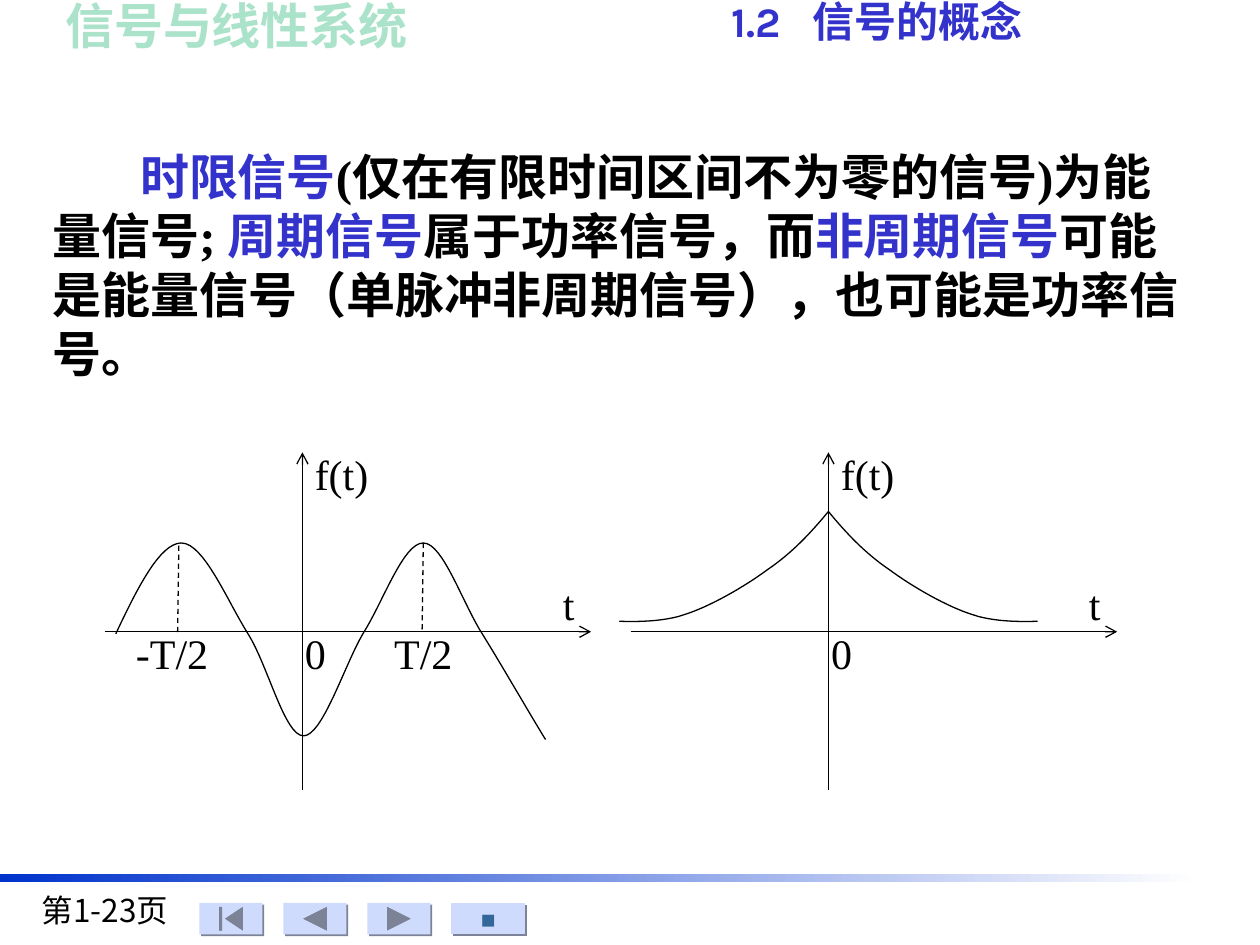
import pptx
import pptx.util
import pptx.dml.color
import pptx.enum.dml
import pptx.enum.shapes
import pptx.enum.text
import pptx.oxml
import pptx.oxml.ns

Pt = pptx.util.Pt
Kind = pptx.enum.shapes.MSO_SHAPE
Align = pptx.enum.text.PP_ALIGN
Anchor = pptx.enum.text.MSO_ANCHOR
NS = pptx.oxml.ns.nsdecls("a")
CJK = "Noto Sans CJK SC"
SERIF = "Times New Roman"
BLUE = "3333CC"
BLACK = "000000"
SHADE = (
    f'<a:effectLst {NS}><a:outerShdw dist="%d" dir="2700000">'
    '<a:srgbClr val="%s"/></a:outerShdw></a:effectLst>'
)


def paint(part, tone):
    """Give a fill or a line one solid colour."""
    fill = getattr(part, "fill", part)
    fill.solid()
    fill.fore_color.rgb = pptx.dml.color.RGBColor.from_string(tone)


def write(shape, text, size=24, font=SERIF, tone=BLACK, bold=False, east=CJK,
          align=None, wrap=True, gap=0):
    """Append a run to the shape's first paragraph and return it."""
    shape.text_frame.word_wrap = wrap
    para = shape.text_frame.paragraphs[0]
    para.alignment = align
    run = para.add_run()
    run.text = text
    run.font.size = Pt(size)
    run.font.bold = bold
    run.font.name = font
    paint(run.font, tone)
    props = run.font._element
    props.set("lang", "zh-CN")
    if gap:
        props.set("spc", str(gap * 100))
    latin = props.find(pptx.oxml.ns.qn("a:latin"))
    latin.addnext(pptx.oxml.parse_xml(f'<a:ea {NS} typeface="{east}"/>'))
    return run


deck = pptx.Presentation()
deck.slide_width, deck.slide_height = Pt(720), Pt(540)
slide = deck.slides.add_slide(deck.slide_layouts[5])
shapes = slide.shapes

# Footer bar, course name and page number
bar = shapes.add_shape(Kind.RECTANGLE, Pt(0), Pt(499.7), Pt(684.7), Pt(4.3))
bar.shadow.inherit = False
bar.line.fill.background()
bar.fill.gradient()
bar.fill.gradient_angle = 0
for stop, tone in zip(bar.fill.gradient_stops, ("0033CC", "FFFFFF")):
    stop.color.rgb = pptx.dml.color.RGBColor.from_string(tone)

course = shapes.add_textbox(Pt(30.2), Pt(-5.8), Pt(233.3), Pt(41))
run = write(course, "信号与线性系统", size=28, font="Noto Sans CJK JP",
            east="Noto Sans CJK JP", tone="AAE2CA", bold=True)
solid = run.font._element.find(pptx.oxml.ns.qn("a:solidFill"))
solid.addnext(pptx.oxml.parse_xml(SHADE % (25400, "808080")))

page = shapes.add_textbox(Pt(12.2), Pt(505.4), Pt(95.8), Pt(34))
write(page, "第1-23页", size=18, font=CJK, align=Align.CENTER)

# Navigation buttons
for kind, left, width, mark in (
    (Kind.ACTION_BUTTON_BEGINNING, 114, 36, ""),
    (Kind.ACTION_BUTTON_BACK_OR_PREVIOUS, 162, 36, ""),
    (Kind.ACTION_BUTTON_FORWARD_OR_NEXT, 210, 36, ""),
    (Kind.ACTION_BUTTON_CUSTOM, 258, 42, "■"),
):
    key = shapes.add_shape(kind, Pt(left), Pt(516), Pt(width), Pt(18))
    paint(key, "CFDBFD")
    key.line.fill.background()
    key._element.spPr.append(pptx.oxml.parse_xml(SHADE % (17780, "7C8398")))
    if mark:
        frame = key.text_frame
        frame.margin_top = frame.margin_bottom = 0
        frame.vertical_anchor = Anchor.MIDDLE
        write(key, mark, size=14, tone="336699", bold=True, east=SERIF,
              align=Align.CENTER, wrap=False)

# Title and statement
title = shapes.title
title.left, title.top, title.width, title.height = Pt(324), Pt(0), Pt(354), Pt(24)
title.text_frame.vertical_anchor = Anchor.MIDDLE
for text, gap in (("1.2", 0), (" ", 12), ("信号的概念", 0)):
    write(title, text, font="Karla", tone=BLUE, bold=True,
          align=Align.CENTER, gap=gap)

body = shapes.add_textbox(Pt(23), Pt(80), Pt(666), Pt(142))
for text, tone in (
    ("时限信号", BLUE),
    ("(仅在有限时间区间不为零的信号)为能量信号; ", BLACK),
    ("周期信号", BLUE),
    ("属于功率信号，而", BLACK),
    ("非周期信号", BLUE),
    ("可能是能量信号（单脉冲非周期信号），也可能是功率信号。", BLACK),
):
    write(body, text, size=28, tone=tone, bold=True)
para = body.text_frame.paragraphs[0]
para.line_spacing = Pt(33.7)
para._p.get_or_add_pPr().set("indent", str(Pt(50)))

# Plots: x is measured from each vertical axis; curves are Bézier knots
wave = [
    (-106.6, 362.2), (-94.3, 336.2), (-81.4, 310.3), (-69.1, 310.3),
    (-56.2, 310.3), (-42.5, 344.2), (-31, 362.2),
    (-19.4, 380.9), (-10.1, 420.5), (0.7, 420.5),
    (11.5, 420.5), (23.8, 380.9), (34.6, 362.2),
    (46.1, 344.2), (57.6, 310.3), (69.1, 310.3),
    (80.6, 310.3), (91.4, 344.9), (103.7, 363.6),
    (115.2, 382.3), (131.8, 411.1), (139, 422.6),
]
decay = [
    (0, 292.3), (10.1, 304.6), (20.9, 316.1), (34.6, 325.4),
    (48.2, 335.5), (68.4, 347), (82.8, 351.4),
    (97.2, 356.4), (119.5, 355), (119.5, 355),
]
mirror = [(-x, y) for x, y in decay]
axes = [(-113, 361, 165, 361, "axis"), (0, 451.4, 0, 258.5, "axis")]
peaks = [(69.1, 310.3, 68.4, 360.7, "dash"), (-70.6, 311.8, -71.3, 362.2, "dash")]
names = [("f(t)", 0, 252.7), ("t", 141.8, 326.9), ("0", -5.6, 355)]
times = [("-T/2", -102.2, 355), ("T/2", 45.4, 355)]
STEPS = 16

for zero, lines, curves, labels in (
    (172.8, axes + peaks, [wave], names + times),
    (473.4, axes, [decay, mirror], names),
):
    plot = shapes.add_group_shape().shapes
    for x1, y1, x2, y2, style in lines:
        line = plot.add_connector(pptx.enum.shapes.MSO_CONNECTOR.STRAIGHT,
                                  Pt(zero + x1), Pt(y1), Pt(zero + x2), Pt(y2))
        paint(line.line, BLACK)
        line.line.width = Pt(0.75)
        if style == "dash":
            line.line.dash_style = pptx.enum.dml.MSO_LINE.DASH
        else:
            line.line._get_or_add_ln().append(
                pptx.oxml.parse_xml(f'<a:tailEnd {NS} type="arrow"/>'))
        line._element.spPr.append(pptx.oxml.parse_xml(f"<a:effectLst {NS}/>"))
    for knots in curves:
        dots = []
        for i in range(0, len(knots) - 1, 3):
            for step in range(1, STEPS + 1):
                t = step / STEPS
                parts = ((1 - t) ** 3, 3 * t * (1 - t) ** 2, 3 * t * t * (1 - t), t ** 3)
                x, y = (sum(w * k[axis] for w, k in zip(parts, knots[i:i + 4]))
                        for axis in (0, 1))
                dots.append((Pt(zero + x), Pt(y)))
        x, y = knots[0]
        path = plot.build_freeform(Pt(zero + x), Pt(y))
        path.add_line_segments(dots, close=False)
        curve = path.convert_to_shape()
        curve.shadow.inherit = False
        curve.fill.background()
        paint(curve.line, BLACK)
        curve.line.width = Pt(0.75)
    for text, x, y in labels:
        write(plot.add_textbox(Pt(zero + x), Pt(y), Pt(62.6), Pt(45.4)), text)

deck.save("out.pptx")
